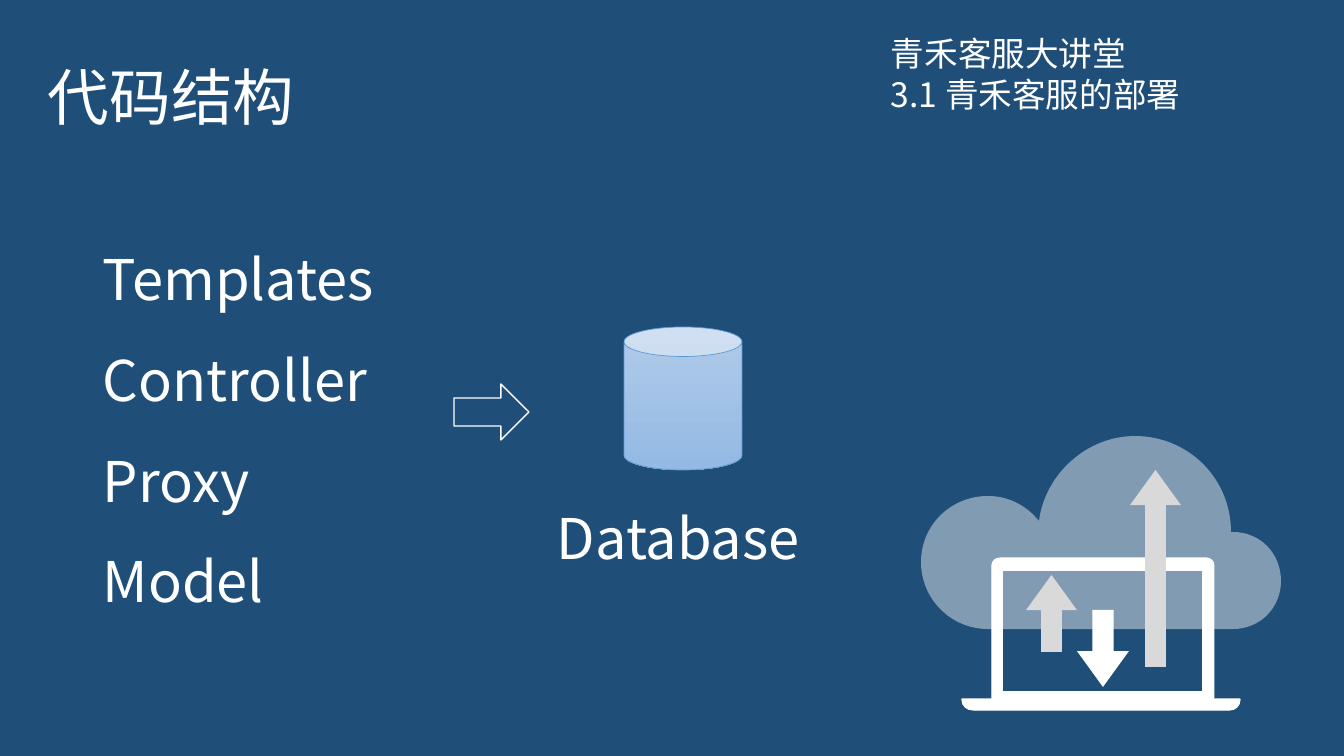
from pptx import Presentation
from pptx.dml.color import RGBColor
from pptx.enum.shapes import MSO_SHAPE as Kind
from pptx.enum.text import MSO_ANCHOR as Anchor, MSO_AUTO_SIZE as Fit
from pptx.oxml.ns import qn
from pptx.util import Pt
from lxml import etree

NAVY = RGBColor(0x1F, 0x4E, 0x79)
WHITE = RGBColor(0xFF, 0xFF, 0xFF)
GREY = RGBColor(0xD9, 0xD9, 0xD9)
BLUE = RGBColor(0x5B, 0x9B, 0xD5)
LIGHT = RGBColor(0xB1, 0xCB, 0xE9)
DEEP = RGBColor(0x93, 0xB9, 0xE4)
FONT = "Noto Sans CJK SC"
SCALE = 914400 / 100.8  # EMU per px

# Content: lines, box in px, format
TEXTS = [
    (["代码结构"], (38, 28, 726, 146),
     dict(size=44, space=0.9, anchor=Anchor.MIDDLE, fit=Fit.NONE)),
    (["Templates", "Controller", "Proxy", "Model"], (98, 206, 453, 417),
     dict(size=40, space=1.5, inset=5)),
    (["Database"], (547, 499, 272, 78), dict(size=40, wrap=False)),
    (["3.1 青禾客服的部署"], (881, 69, 316, 50), dict(size=24)),
    (["青禾客服大讲堂"], (881, 28, 258, 50), dict(size=24, wrap=False)),
]
# Outlines: a pair is a corner, six numbers are a curve
CLOUD = [(1233, 532), (1231, 532), (1231, 478, 1188, 436, 1135, 436),
         (1087, 436, 1045, 474, 1039, 521), (1027, 506, 1009, 496, 988, 496),
         (951, 496, 921, 525, 921, 562), (921, 599, 951, 629, 988, 629),
         (1233, 629), (1260, 629, 1281, 608, 1281, 581),
         (1281, 553, 1260, 532, 1233, 532)]
FRAME = [(992, 699), (1214, 699), (1214, 565),
         (1214, 561, 1210, 558, 1207, 558), (1000, 558),
         (996, 558, 992, 561, 992, 565)]
HOLE = [(1203, 692), (1003, 692), (1003, 570), (1203, 570)]
BASE = [(962, 699), (962, 700), (962, 706, 967, 710, 973, 710), (1230, 710),
        (1235, 710, 1240, 706, 1240, 700), (1240, 699)]
ARROWS = [(Kind.UP_ARROW, (1026, 575, 51, 77), GREY),
          (Kind.UP_ARROW, (1130, 470, 51, 197), GREY),
          (Kind.DOWN_ARROW, (1077, 610, 52, 77), WHITE)]


def px(n):
    return round(n * SCALE)


deck = Presentation()
deck.slide_width, deck.slide_height = px(1344), px(756)
slide = deck.slides.add_slide(deck.slide_layouts[6])
slide.background.fill.solid()
slide.background.fill.fore_color.rgb = NAVY
shapes = slide.shapes


def write(lines, box, size, space=None, inset=None, anchor=Anchor.TOP,
          wrap=True, fit=Fit.SHAPE_TO_FIT_TEXT):
    frame = shapes.add_textbox(*map(px, box)).text_frame
    frame.word_wrap, frame.vertical_anchor = wrap, anchor
    frame.auto_size = fit
    if inset:
        frame.margin_left = frame.margin_right = px(inset)
        frame.margin_top = frame.margin_bottom = px(inset)
    for i, line in enumerate(lines):
        para = frame.add_paragraph() if i else frame.paragraphs[0]
        if space:
            para.line_spacing = space
        run = para.add_run()
        run.text = line
        font = run.font
        font.size, font.name, font.color.rgb = Pt(size), FONT, WHITE
        east = etree.SubElement(font._element, qn("a:ea"))
        east.set("typeface", FONT)


def paint(shape, fill=None, line=None, width=0.75):
    shape.shadow.inherit = False
    if fill is None:
        shape.fill.background()
    else:
        shape.fill.solid()
        shape.fill.fore_color.rgb = fill
    if line is None:
        shape.line.fill.background()
    else:
        shape.line.color.rgb, shape.line.width = line, Pt(width)
    return shape


def draw(kind, box, **style):
    return paint(shapes.add_shape(kind, *map(px, box)), **style)


def outline(*loops, **style):
    ends = [[tuple(map(px, part[-2:])) for part in loop] for loop in loops]
    pen = shapes.build_freeform(*ends[0][0], scale=1.0)
    for i, dots in enumerate(ends):
        if i:
            pen.move_to(*dots[0])
        pen.add_line_segments(dots[1:], close=True)
    shape = pen.convert_to_shape()
    # Bend the edges that have control points
    parts = [part for loop in loops for part in loop]
    trail = shape._element.spPr.find(".//" + qn("a:path"))
    steps = [step for step in trail if step.tag != qn("a:close")]
    for part, step in zip(parts, steps):
        if len(part) == 6:
            curve = etree.Element(qn("a:cubicBezTo"))
            for x, y in zip(part[::2], part[1::2]):
                dot = etree.SubElement(curve, qn("a:pt"))
                dot.set("x", str(px(x) - shape.left))
                dot.set("y", str(px(y) - shape.top))
            trail.replace(step, curve)
    return paint(shape, **style)


# Title and list
for lines, box, style in TEXTS[:2]:
    write(lines, box, **style)

# Arrow and database
draw(Kind.RIGHT_ARROW, (454, 384, 75, 56), line=WHITE, width=1)
write(*TEXTS[2][:2], **TEXTS[2][2])
can = draw(Kind.CAN, (624, 327, 118, 143), line=BLUE, width=0.5)
can.fill.gradient()
can.fill.gradient_angle = 270
for stop, tone in zip(can.fill.gradient_stops, (LIGHT, DEEP)):
    stop.color.rgb = tone

# Cloud and laptop
draw(Kind.RECTANGLE, (999, 564, 209, 131), line=WHITE)
cloud = outline(CLOUD, fill=WHITE)
tint = cloud._element.spPr.find(".//" + qn("a:srgbClr"))
etree.SubElement(tint, qn("a:alpha")).set("val", "44000")
outline(FRAME, HOLE, fill=WHITE, line=WHITE)
outline(BASE, fill=WHITE, line=WHITE)

# Transfer arrows
for kind, box, tone in ARROWS:
    arrow = draw(kind, box, fill=tone)
    arrow.adjustments[0], arrow.adjustments[1] = 0.41, 0.69

# Course heading
for lines, box, style in TEXTS[3:]:
    write(lines, box, **style)

deck.save("out.pptx")
